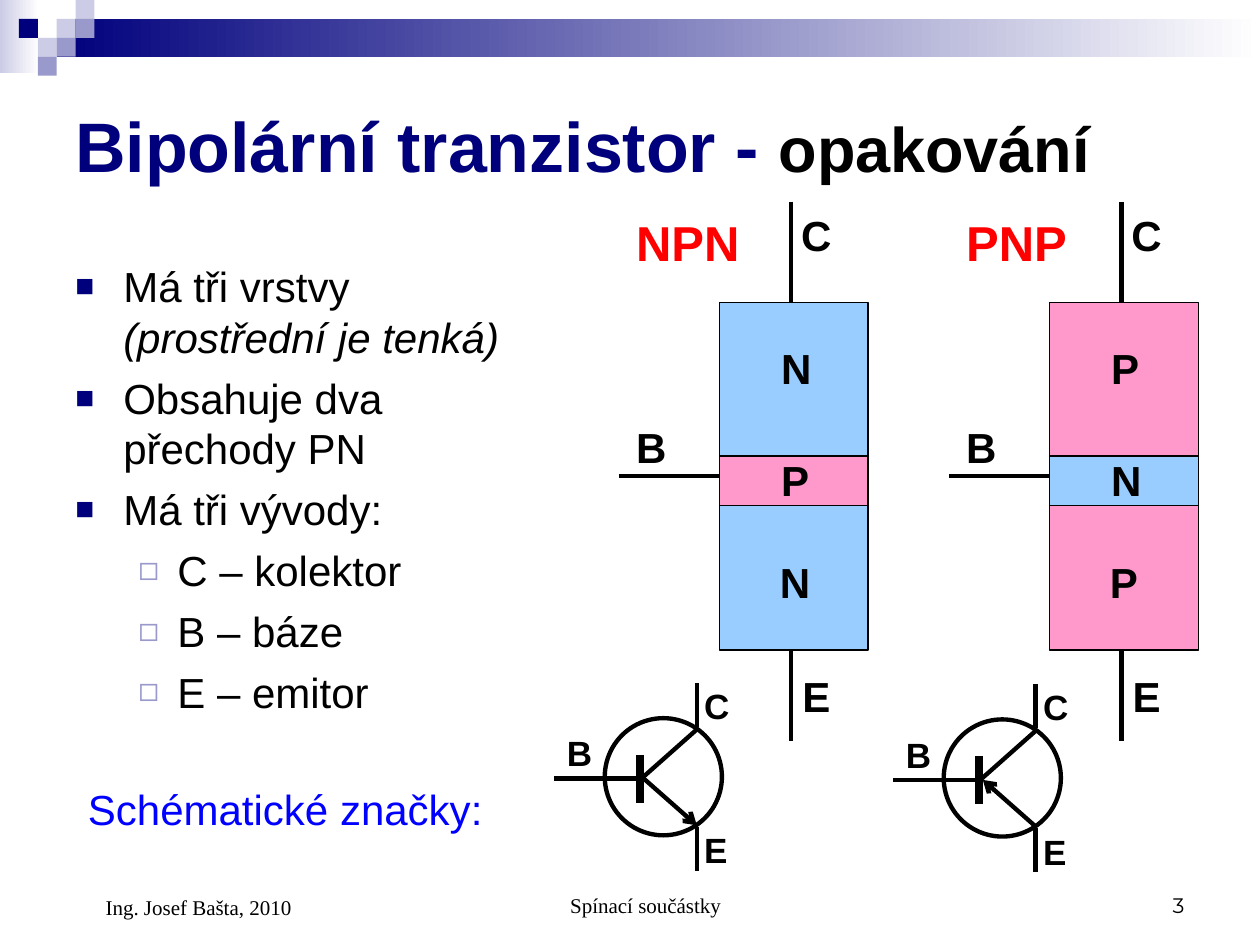
from lxml.etree import SubElement as Sub
from pptx import Presentation
from pptx.dml.color import RGBColor as RGB
from pptx.enum.shapes import MSO_CONNECTOR as Conn, MSO_SHAPE as Form
from pptx.enum.text import MSO_ANCHOR as Anchor, PP_ALIGN as Align
from pptx.oxml.ns import qn
from pptx.util import Inches, Pt

NAVY, BLACK, RED, BLUE = "00007D", "000000", "FF0000", "0000FF"
LILAC, PALE, WHITE = "9999CC", "CCCCE6", "FFFFFF"
FILLS = {"N": "99CCFF", "P": "FF99CC"}


def hue(code):
    return RGB.from_string(code)


def style(run, **form):
    form = {"name": "Arial", "size": 24, **form}
    run.font.color.rgb = hue(form.pop("color", BLACK))
    form["size"] = Pt(form["size"])
    for key, value in form.items():
        setattr(run.font, key, value)


def write(para, words, **form):
    run = para.add_run()
    run.text = words
    style(run, **form)


def frame(shapes, box, anchor=Anchor.TOP):
    text = shapes.add_textbox(*map(Inches, box)).text_frame
    text.word_wrap = True
    text.vertical_anchor = anchor
    return text


def label(shapes, box, words, **form):
    write(frame(shapes, box).paragraphs[0], words, **form)


def block(shapes, form, box, fill=None, line=None):
    """Add a shape; a pair of colours as fill makes a left-to-right gradient."""
    shape = shapes.add_shape(form, *map(Inches, box))
    shape.shadow.inherit = False
    if fill is None:
        shape.fill.background()
    elif isinstance(fill, tuple):
        shape.fill.gradient()
        shape.fill.gradient_angle = 0
        for stop, code in zip(shape.fill.gradient_stops, fill):
            stop.color.rgb = hue(code)
    else:
        shape.fill.solid()
        shape.fill.fore_color.rgb = hue(fill)
    if line:
        shape.line.color.rgb = hue(BLACK)
        shape.line.width = Pt(line)
    else:
        shape.line.fill.background()


def wire(shapes, left, top, ends, width=2.5, arrow=False):
    x1, y1, x2, y2 = ends
    points = left + x1, top + y1, left + x2, top + y2
    line = shapes.add_connector(Conn.STRAIGHT, *map(Inches, points))
    line.line.color.rgb = hue(BLACK)
    line.line.width = Pt(width)
    props = line._element.spPr
    if arrow:
        Sub(props.find(qn("a:ln")), qn("a:tailEnd"), type="arrow")
    Sub(props, qn("a:effectLst"))


def banner(shapes):
    block(shapes, Form.RECTANGLE, (0, 0, 0.31, 0.58), (PALE, WHITE))
    block(shapes, Form.RECTANGLE, (0.45, 0.15, 9.55, 0.3), (NAVY, WHITE))
    side = 0.15
    tiles = [(3, 1, PALE), (4, 0, PALE), (4, 1, LILAC), (2, 2, PALE),
             (1, 1, NAVY), (3, 2, LILAC), (2, 3, LILAC)]
    for col, row, fill in tiles:
        box = col * side, row * side, side, side
        block(shapes, Form.RECTANGLE, box, fill)


def title(shapes, box):
    para = frame(shapes, box, Anchor.MIDDLE).paragraphs[0]
    write(para, "Bipolární tranzistor - ", size=40, bold=True, color=NAVY)
    write(para, "opakování", size=36, bold=True)


def bullet(para, level):
    sign, code, size, left, hang = [("■", NAVY, 75, 0.38, 0.38),
                                    ("◻", LILAC, 80, 0.81, 0.31)][level]
    para.level = level
    props = para._p.get_or_add_pPr()
    props.set("marL", str(Inches(left)))
    props.set("indent", str(-Inches(hang)))
    Sub(Sub(props, qn("a:buClr")), qn("a:srgbClr"), val=code)
    Sub(props, qn("a:buSzPct"), val=str(size * 1000))
    Sub(props, qn("a:buFont"), typeface="Arial")
    Sub(props, qn("a:buChar"), char=sign)


def points(shapes, box):
    text = frame(shapes, box)
    items = [(0, "Má tři vrstvy ", "(prostřední je tenká)"),
             (0, "Obsahuje dva přechody PN", ""), (0, "Má tři vývody:", ""),
             (1, "C – kolektor", ""), (1, "B – báze", ""),
             (1, "E – emitor", "")]
    for i, (level, words, aside) in enumerate(items):
        para = text.add_paragraph() if i else text.paragraphs[0]
        bullet(para, level)
        if i:
            para.space_before = Pt(6)
        write(para, words)
        if aside:
            write(para, aside, italic=True)


def layers(shapes, left, top, kind):
    """Draw the three-layer model of an NPN or PNP transistor."""
    group = shapes.add_group_shape().shapes
    wire(group, left, top, (0, 2.18, 1, 2.18))
    wire(group, left, top, (1.37, 0, 1.37, 4.28))
    for y, height, name in [(0.8, 2.76, kind[0]), (2.02, 0.39, kind[1])]:
        box = left + 0.8, top + y, 1.18, height
        block(group, Form.RECTANGLE, box, FILLS[name], 0.75)
    marks = [(1.19, 1.07, kind[0]), (1.19, 1.96, kind[1]),
             (1.18, 2.77, kind[2]), (1.36, 3.67, "E"), (1.35, 0.01, "C"),
             (0.04, 1.7, "B")]
    for x, y, name in marks:
        label(group, (left + x, top + y, 0.48, 0.5), name, bold=True)
    label(shapes, (left + 0.04, top + 0.04, 1.05, 0.57), kind,
          size=28, bold=True, color=RED)


def symbol(shapes, left, top, kind):
    """Draw the circuit symbol; the emitter arrow points inward for PNP."""
    group = shapes.add_group_shape().shapes
    block(group, Form.OVAL, (left + 0.4, top + 0.32, 0.93, 0.93), line=2.5)
    wire(group, left, top, (0.68, 0.61, 0.68, 0.99), 5)
    out = 0.71, 0.8, 1.13, 1.17
    ends = out if kind == "NPN" else out[2:] + out[:2]
    wire(group, left, top, ends, arrow=True)
    for ends in [(0.69, 0.8, 1.13, 0.41), (0.67, 0.8, 0, 0.8),
                 (1.13, 0.39, 1.13, 0.04), (1.13, 1.53, 1.13, 1.18)]:
        wire(group, left, top, ends)
    for x, y, name in [(1.09, 0, "C"), (0, 0.38, "B"), (1.09, 1.15, "E")]:
        label(group, (left + x, top + y, 0.45, 0.44), name,
              size=20, bold=True)


def footer(shapes, top):
    serif = "Times New Roman"
    parts = [(3.42, 3.17, 0.5, "Spínací součástky", Align.CENTER, serif, 0.24),
             (7.17, 2.33, 0.5, "3", Align.RIGHT, "Montserrat", 0),
             (0.5, 2.33, 0.52, "Ing. Josef Bašta, 2010", Align.LEFT, serif,
              0.24)]
    for left, width, height, words, align, font, indent in parts:
        text = frame(shapes, (left, top, width, height), Anchor.BOTTOM)
        para = text.paragraphs[0]
        para.alignment = align
        para._p.get_or_add_pPr().set("marL", str(Inches(indent)))
        write(para, words, name=font, size=12)


def main():
    deck = Presentation()
    deck.slide_width, deck.slide_height = Inches(10), Inches(7.5)
    shapes = deck.slides.add_slide(deck.slide_layouts[6]).shapes
    banner(shapes)
    title(shapes, (0.5, 0.5, 9, 1.3))
    points(shapes, (0.5, 2.02, 3.58, 4.25))
    layers(shapes, 4.91, 1.6, "NPN")
    layers(shapes, 7.53, 1.6, "PNP")
    symbol(shapes, 4.4, 5.38, "NPN")
    symbol(shapes, 7.09, 5.39, "PNP")
    label(shapes, (0.6, 6.17, 3.4, 0.5), "Schématické značky:", color=BLUE)
    footer(shapes, 6.83)
    deck.save("out.pptx")


if __name__ == "__main__":
    main()
